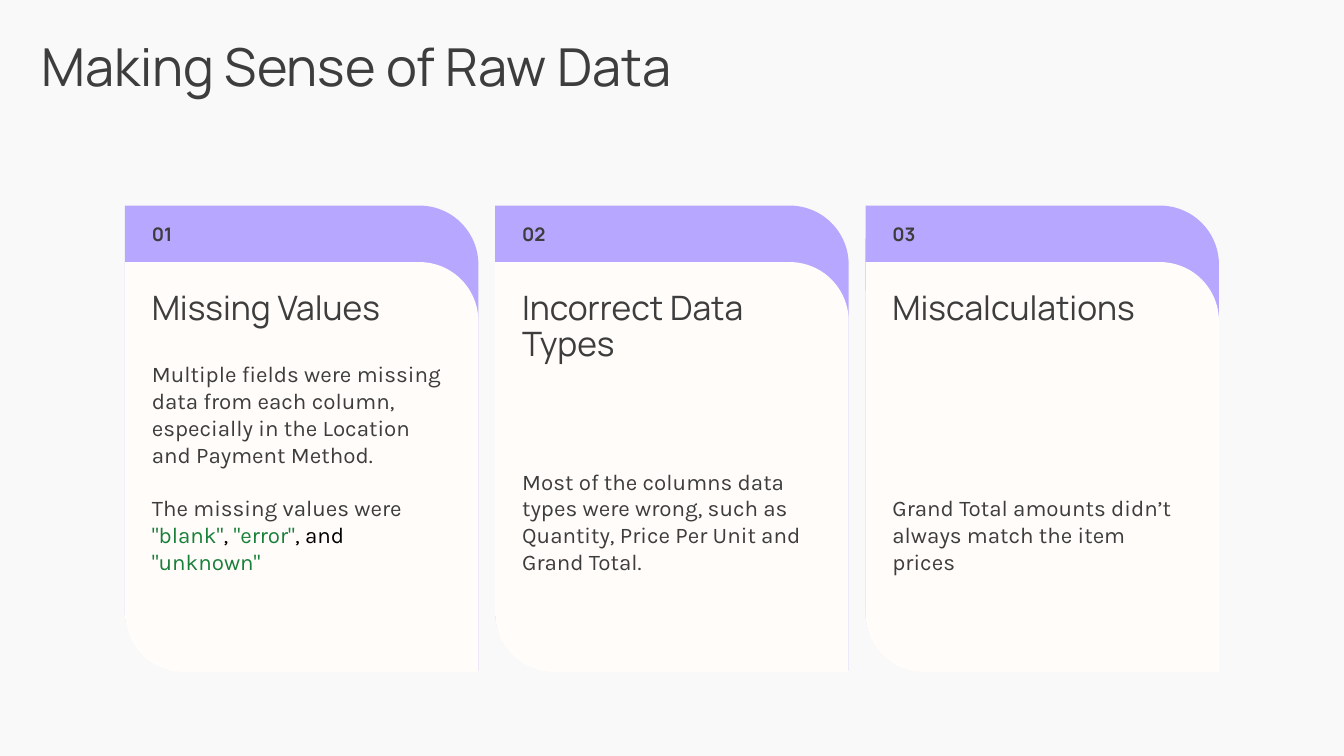
from lxml import etree
from pptx import Presentation
from pptx.dml.color import RGBColor
from pptx.enum.shapes import MSO_SHAPE
from pptx.enum.text import MSO_ANCHOR, MSO_AUTO_SIZE, PP_ALIGN
from pptx.oxml.ns import qn
from pptx.util import Inches, Pt

CARD_SHAPE = MSO_SHAPE.ROUND_2_DIAG_RECTANGLE
TOP, BOTTOM = MSO_ANCHOR.TOP, MSO_ANCHOR.BOTTOM
FIXED, GROW = MSO_AUTO_SIZE.NONE, MSO_AUTO_SIZE.SHAPE_TO_FIT_TEXT
LEFT = PP_ALIGN.LEFT

BACKGROUND = RGBColor(0xF9, 0xF9, 0xF9)
LILAC = RGBColor(0xB8, 0xA7, 0xFF)
CREAM = RGBColor(0xFF, 0xFC, 0xFA)
GRAY = RGBColor(0x3D, 0x3D, 0x3D)
GREEN = RGBColor(0x18, 0x80, 0x38)
BLACK = RGBColor(0, 0, 0)

FIRST_LEFT, LAST_LEFT, CARD_WIDTH = 0.93, 6.44, 2.63
CORNER = 0.167
PADDING = 0.2

MANROPE = {"name": "Manrope", "bold": False}
TITLE_FONT = {**MANROPE, "size": Pt(28)}
HEADING_FONT = {**MANROPE, "size": Pt(18)}
NUMBER_FONT = {"name": "Manrope", "size": Pt(10), "bold": True}
BODY_FONT = {"name": "Karla", "size": Pt(12), "bold": False}

# Each card: heading, heading height, body paragraphs as lists of (text, colour)
CARDS = [
    ("Missing Values", 0.27, [
        [("Multiple fields were missing data from each column, "
          "especially in the Location and Payment Method.", GRAY)],
        [("The missing values were ", GRAY), ('"blank"', GREEN), (", ", BLACK),
         ('"error"', GREEN), (", and ", BLACK), ('"unknown"', GREEN)],
    ]),
    ("Incorrect Data Types", 0.55, [
        [("Most of the columns data types were wrong, such as "
          "Quantity, Price Per Unit and Grand Total.", GRAY)],
    ]),
    ("Miscalculations", 0.27, [
        [("Grand Total amounts didn’t always match the item prices", GRAY)],
    ]),
]
CARD_STEP = (LAST_LEFT - FIRST_LEFT) / (len(CARDS) - 1)


def place(shape, left, top, width, height):
    box = {"left": left, "top": top, "width": width, "height": height}
    for name, value in box.items():
        setattr(shape, name, Inches(value))


def write(shape, paragraphs, font, insets, anchor=TOP, auto_size=FIXED, spacing=1.0):
    """Fill a shape with paragraphs of (text, colour) runs; insets run left, top, right, bottom."""
    frame = shape.text_frame
    sides = ("margin_left", "margin_top", "margin_right", "margin_bottom")
    for side, inset in zip(sides, insets):
        setattr(frame, side, Inches(inset))
    frame.word_wrap = True
    frame.vertical_anchor = anchor
    frame.auto_size = auto_size
    for index, runs in enumerate(paragraphs):
        paragraph = frame.add_paragraph() if index else frame.paragraphs[0]
        properties = paragraph._p.get_or_add_pPr()
        properties.set("marL", "0")
        properties.set("indent", "0")
        etree.SubElement(properties, qn("a:buNone"))
        paragraph.alignment = LEFT
        paragraph.line_spacing = spacing
        paragraph.space_before = Pt(14.4 if index else 0)
        for text, color in runs:
            run = paragraph.add_run()
            run.text = text
            run.font.color.rgb = color
            for name, value in font.items():
                setattr(run.font, name, value)


presentation = Presentation()
presentation.slide_width = Inches(10)
presentation.slide_height = presentation.slide_width * 9 // 16
slide = presentation.slides.add_slide(presentation.slide_layouts.get_by_name("Comparison"))
slide.background.fill.solid()
slide.background.fill.fore_color.rgb = BACKGROUND
shapes = slide.shapes

title = shapes.title
place(title, 0.31, 0.31, 9.38, 0.42)
write(title, [[("Making Sense of Raw Data", GRAY)]], TITLE_FONT, (0, 0, 0, 0),
      auto_size=GROW, spacing=0.9)

bodies = list(slide.placeholders)[1:]
spare = bodies.pop().element
spare.getparent().remove(spare)

for index, (body, (heading, heading_height, paragraphs)) in enumerate(zip(bodies, CARDS)):
    left = FIRST_LEFT + index * CARD_STEP

    for top, height, color in ((1.53, 3.46, LILAC), (1.95, 3.05, CREAM)):
        card = shapes.add_shape(CARD_SHAPE, 0, 0, 0, 0)
        place(card, left, top, CARD_WIDTH, height)
        card.adjustments[0] = 0
        card.adjustments[1] = CORNER
        card.shadow.inherit = False
        card.fill.solid()
        card.fill.fore_color.rgb = color
        card.line.fill.background()

    number_box = shapes.add_textbox(0, 0, 0, 0)
    place(number_box, left, 1.66, 1.53, 0.19)
    write(number_box, [[(f"{index + 1:02}", GRAY)]], NUMBER_FONT, (PADDING, 0, 0.1, 0))

    heading_box = shapes.add_textbox(0, 0, 0, 0)
    place(heading_box, left, 2.17, CARD_WIDTH, heading_height)
    write(heading_box, [[(heading, GRAY)]], HEADING_FONT, (PADDING, 0, PADDING, 0),
          auto_size=GROW, spacing=0.9)

    # Bring the body placeholder in front of its card
    body.element.getparent().append(body.element)
    place(body, left, 2.96, CARD_WIDTH, 1.62)
    write(body, paragraphs, BODY_FONT, (PADDING, 0, PADDING, 0.3), anchor=BOTTOM)

presentation.save("out.pptx")
